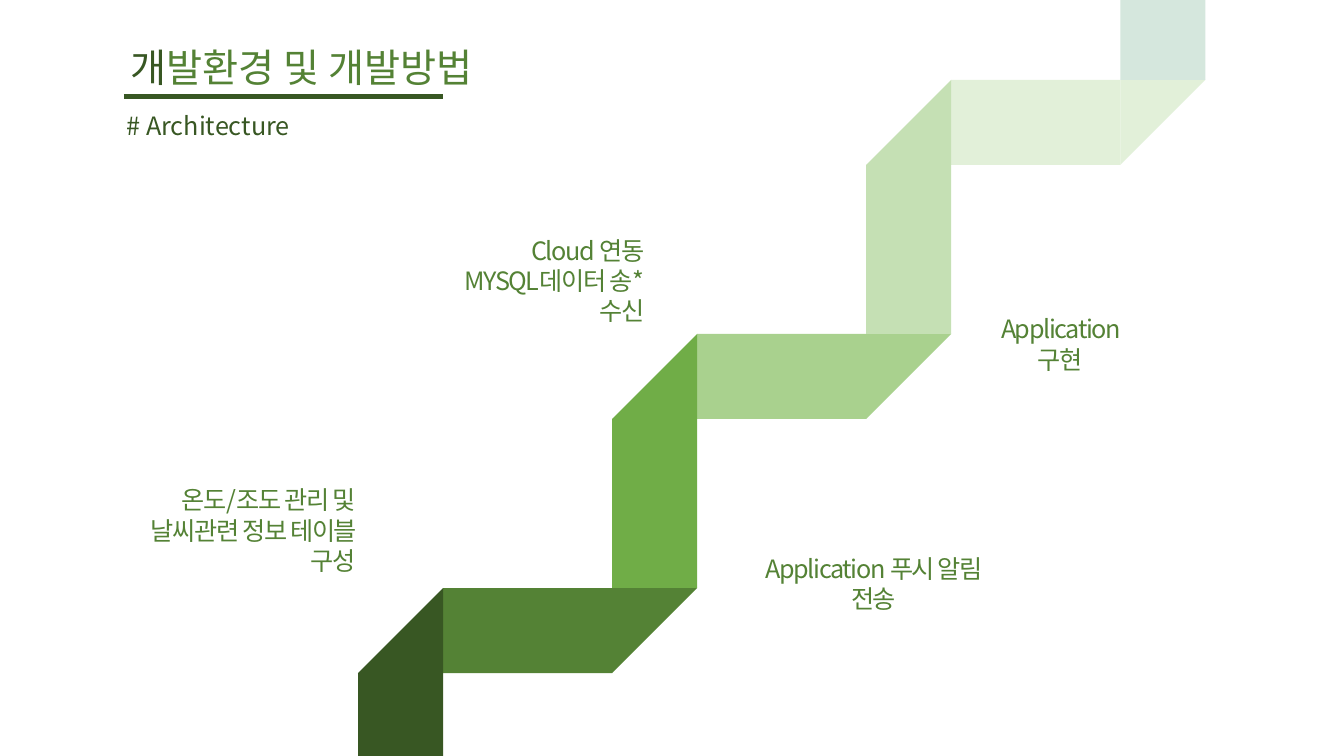
"""Build the architecture slide with a folded ribbon climbing through four milestones."""
from dataclasses import dataclass

from lxml import etree
from pptx import Presentation
from pptx.dml.color import RGBColor
from pptx.enum.shapes import MSO_CONNECTOR, MSO_SHAPE
from pptx.enum.text import MSO_ANCHOR, MSO_AUTO_SIZE, PP_ALIGN
from pptx.oxml.ns import qn
from pptx.util import Emu, Pt

RECT, TRIANGLE = MSO_SHAPE.RECTANGLE, MSO_SHAPE.RIGHT_TRIANGLE
STRAIGHT = MSO_CONNECTOR.STRAIGHT
LEFT, CENTER, RIGHT, JUSTIFY = PP_ALIGN.LEFT, PP_ALIGN.CENTER, PP_ALIGN.RIGHT, PP_ALIGN.JUSTIFY
TOP, MIDDLE = MSO_ANCHOR.TOP, MSO_ANCHOR.MIDDLE
GROW, FIXED = MSO_AUTO_SIZE.SHAPE_TO_FIT_TEXT, MSO_AUTO_SIZE.NONE

EMU_PER_PX = 9525
WIDTH, HEIGHT = 1280, 720
FONT = "Noto Sans CJK KR"
DARK, GREEN = "385723", "548235"
BAND, RUN = 81, 161
PERIOD = BAND + RUN
RIBBON_LEFT, RIBBON_TOP = 341, 560


@dataclass(frozen=True)
class Fold:
    rise_color: str
    run_color: str


@dataclass(frozen=True)
class Label:
    left: int
    top: int
    width: int
    height: int
    lines: tuple[str, ...]
    align: PP_ALIGN
    color: str = GREEN
    spacing: int = -100


FOLDS = (Fold(DARK, GREEN), Fold("70AD47", "A9D18E"), Fold("C5E0B4", "E2F0D9"))
RIBBON_END = "D5E7DD"
LABELS = (
    Label(111, 100, 310, 38, ("# Architecture",), LEFT, DARK, 0),
    Label(699, 522, 266, 68, ("Application 푸시 알림 전송",), CENTER),
    Label(925, 294, 170, 68, ("Application 구현",), CENTER),
    Label(395, 219, 228, 97, ("Cloud 연동", "MYSQL데이터 송*수신"), RIGHT),
    Label(93, 457, 255, 97, ("온도/조도 관리 및", "날씨관련 정보 테이블 구성"), RIGHT),
)


def px(length: int) -> Emu:
    """Turn pixels into EMU."""
    return Emu(length * EMU_PER_PX)


def rgb(color: str) -> RGBColor:
    """Turn a hex string into a colour."""
    return RGBColor.from_string(color)


def style_paragraph(paragraph, size: int, align: PP_ALIGN, spacing: int = 0) -> None:
    """Set alignment, typeface, size and letter spacing of a paragraph."""
    paragraph.alignment = align
    paragraph.font.size = Pt(size)
    paragraph.font.name = FONT
    defaults = paragraph._p.pPr.find(qn("a:defRPr"))
    etree.SubElement(defaults, qn("a:ea")).set("typeface", FONT)
    if spacing:
        defaults.set("spc", str(spacing))


def add_title(slide) -> None:
    """Place the two-coloured heading and its underline."""
    heading = slide.shapes.title
    heading.left, heading.top, heading.width, heading.height = map(px, (115, 36, 359, 55))
    frame = heading.text_frame
    frame.auto_size, frame.vertical_anchor = FIXED, MIDDLE
    paragraph = frame.paragraphs[0]
    for words, color in (("개", DARK), ("발환경 및 개발방법", GREEN)):
        run = paragraph.add_run()
        run.text = words
        run.font.color.rgb = rgb(color)
    style_paragraph(paragraph, 28, JUSTIFY)
    underline = slide.shapes.add_connector(STRAIGHT, px(118), px(92), px(422), px(92))
    underline.line.color.rgb = rgb(DARK)
    underline.line.width = Pt(3.75)
    etree.SubElement(underline._element.spPr, qn("a:effectLst"))


def add_panel(slide, kind: MSO_SHAPE, left: int, top: int, width: int, height: int,
              color: str, flip: str = "") -> None:
    """Draw one flat piece of the ribbon, optionally mirrored."""
    panel = slide.shapes.add_shape(kind, px(left), px(top), px(width), px(height))
    panel.shadow.inherit = False
    panel.fill.solid()
    panel.fill.fore_color.rgb = rgb(color)
    panel.line.fill.background()
    if flip:
        panel._element.spPr.find(qn("a:xfrm")).set(flip, "1")


def add_ribbon(slide) -> None:
    """Draw the ribbon from the bottom fold up to the slide's top edge."""
    for step, fold in enumerate(FOLDS):
        left, top = RIBBON_LEFT + step * PERIOD, RIBBON_TOP - step * PERIOD
        rise = min(RUN, HEIGHT - top - BAND)
        add_panel(slide, RECT, left + BAND, top, RUN, BAND, fold.run_color)
        add_panel(slide, TRIANGLE, left + PERIOD, top, BAND, BAND, fold.run_color, "flipV")
        add_panel(slide, RECT, left, top + BAND, BAND, rise, fold.rise_color)
        add_panel(slide, TRIANGLE, left, top, BAND, BAND, fold.rise_color, "flipH")
    count = len(FOLDS)
    add_panel(slide, RECT, RIBBON_LEFT + count * PERIOD, 0, BAND,
              RIBBON_TOP - (count - 1) * PERIOD, RIBBON_END)


def add_label(slide, label: Label) -> None:
    """Write one label in a wrapping text box."""
    box = slide.shapes.add_textbox(px(label.left), px(label.top), px(label.width), px(label.height))
    frame = box.text_frame
    frame.word_wrap, frame.auto_size, frame.vertical_anchor = True, GROW, TOP
    frame.text = "\n".join(label.lines)
    for paragraph in frame.paragraphs:
        paragraph.font.color.rgb = rgb(label.color)
        style_paragraph(paragraph, 18, label.align, label.spacing)


def main() -> None:
    """Build and save the slide."""
    deck = Presentation()
    deck.slide_width, deck.slide_height = px(WIDTH), px(HEIGHT)
    slide = deck.slides.add_slide(deck.slide_layouts[5])
    add_title(slide)
    add_ribbon(slide)
    for label in LABELS:
        add_label(slide, label)
    deck.save("out.pptx")


if __name__ == "__main__":
    main()
